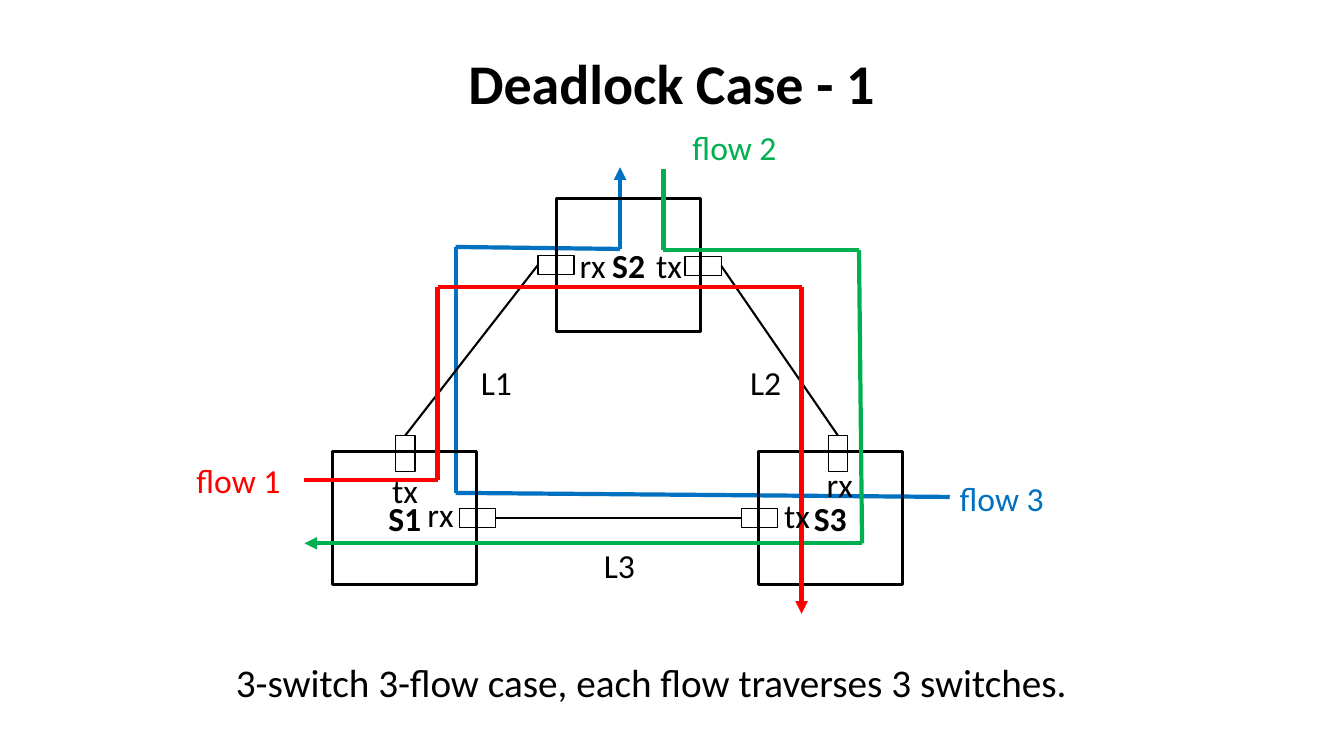
import itertools

import lxml.etree
import pptx
import pptx.dml.color
import pptx.enum.shapes
import pptx.enum.text
import pptx.oxml.ns
import pptx.util

Inches = pptx.util.Inches
Pt = pptx.util.Pt
ALIGN = pptx.enum.text.PP_ALIGN
ANCHOR = pptx.enum.text.MSO_ANCHOR
FIT = pptx.enum.text.MSO_AUTO_SIZE
qn = pptx.oxml.ns.qn

FONT = "Calibri"
COLORS = {"ink": "000000", "red": "FF0000", "green": "00B050", "blue": "0070C0"}

TITLE = ("Deadlock Case - 1", (0.35, 0.43, 12.62, 0.77))
NOTE = ("3-switch 3-flow case, each flow traverses 3 switches.", (2.24, 6.48, 8.66, 0.57))

BOX = (1.43, 1.32)
SWITCHES = {"S2": (5.52, 1.97), "S1": (3.3, 4.48), "S3": (7.52, 4.48)}

# Port: centre x, centre y, lies flat
LONG, SHORT = 0.36, 0.19
PORTS = {
    "S2 rx": (5.515, 2.63, True),
    "S2 tx": (6.975, 2.64, True),
    "S1 tx": (4.02, 4.5, False),
    "S1 rx": (4.735, 5.14, True),
    "S3 rx": (8.31, 4.5, False),
    "S3 tx": (7.535, 5.14, True),
}

# Link: port and side at each end
TOP, LEFT, RIGHT = 0, 1, 3
LINKS = [
    ("S2 rx", LEFT, "S1 tx", TOP),
    ("S2 tx", RIGHT, "S3 rx", TOP),
    ("S1 rx", RIGHT, "S3 tx", LEFT),
]

# Corner points in the order of travel
FLOWS = {
    "blue": [(9.42, 4.93), (4.52, 4.89), (4.52, 2.45), (6.15, 2.47), (6.15, 1.66)],
    "green": [(6.58, 1.68), (6.58, 2.48), (8.52, 2.48), (8.55, 5.39), (3.02, 5.39)],
    "red": [(3.02, 4.76), (4.34, 4.76), (4.34, 2.85), (7.95, 2.85), (7.95, 6.09)],
}

WIDTHS = {"flow": 1.04, "rx": 0.46, "tx": 0.46, "L": 0.51}
LABELS = [
    ("flow 1", 1.85, 4.51, "red"),
    ("flow 2", 6.77, 1.21, "green"),
    ("flow 3", 9.42, 4.69, "blue"),
    ("rx", 5.65, 2.38, "ink"),
    ("tx", 6.41, 2.38, "ink"),
    ("tx", 3.79, 4.61, "ink"),
    ("rx", 4.14, 4.85, "ink"),
    ("rx", 8.1, 4.55, "ink"),
    ("tx", 7.68, 4.86, "ink"),
    ("L1", 4.67, 3.54, "ink"),
    ("L2", 7.34, 3.54, "ink"),
    ("L3", 5.89, 5.36, "ink"),
]


def shade(name):
    return pptx.dml.color.RGBColor.from_string(COLORS[name])


def write(shape, text, size, color="ink", bold=False, align=ALIGN.LEFT, **frame):
    """Put one formatted line of text in a shape."""
    for key, value in frame.items():
        setattr(shape.text_frame, key, value)
    para = shape.text_frame.paragraphs[0]
    para.alignment = align
    run = para.add_run()
    run.text = text
    for key, value in {"name": FONT, "size": Pt(size), "bold": bold}.items():
        setattr(run.font, key, value)
    run.font.color.rgb = shade(color)


def add_rect(slide, x, y, w, h, width):
    rect = slide.shapes.add_shape(
        pptx.enum.shapes.MSO_SHAPE.RECTANGLE, *map(Inches, (x, y, w, h)))
    rect.shadow.inherit = False
    rect.fill.background()
    rect.line.color.rgb = shade("ink")
    rect.line.width = Pt(width)
    return rect


def add_line(slide, start, end, color, width):
    line = slide.shapes.add_connector(
        pptx.enum.shapes.MSO_CONNECTOR.STRAIGHT, *map(Inches, start + end))
    line.line.color.rgb = shade(color)
    line.line.width = Pt(width)
    lxml.etree.SubElement(line.element.spPr, qn("a:effectLst"))
    return line


def add_flow(slide, color):
    for start, end in itertools.pairwise(FLOWS[color]):
        line = add_line(slide, start, end, color, 3)
    lxml.etree.SubElement(line.line._get_or_add_ln(), qn("a:tailEnd"), type="triangle")


def add_port(slide, x, y, flat):
    w, h = (LONG, SHORT) if flat else (SHORT, LONG)
    return add_rect(slide, x - w / 2, y - h / 2, w, h, 1)


def add_text(slide, text, spot, size, color="ink", wrap=False):
    box = slide.shapes.add_textbox(*map(Inches, spot))
    write(box, text, size, color, word_wrap=wrap, auto_size=FIT.SHAPE_TO_FIT_TEXT)


def main():
    deck = pptx.Presentation()
    deck.slide_width, deck.slide_height = Inches(13.33), Inches(7.5)
    slide = deck.slides.add_slide(deck.slide_layouts[5])

    title = slide.shapes.title
    for key, value in zip(("left", "top", "width", "height"), TITLE[1]):
        setattr(title, key, Inches(value))
    write(title, TITLE[0], 40, bold=True, align=ALIGN.CENTER,
          vertical_anchor=ANCHOR.MIDDLE)
    add_text(slide, *NOTE, 28, wrap=True)

    add_flow(slide, "blue")
    for name, spot in SWITCHES.items():
        write(add_rect(slide, *spot, *BOX, 2.25), name, 24, bold=True,
              align=ALIGN.CENTER, vertical_anchor=ANCHOR.MIDDLE)
    ports = {name: add_port(slide, *place) for name, place in PORTS.items()}
    for first, side, last, face in LINKS:
        link = add_line(slide, PORTS[first][:2], PORTS[last][:2], "ink", 1.5)
        link.begin_connect(ports[first], side)
        link.end_connect(ports[last], face)
    add_flow(slide, "green")
    add_flow(slide, "red")

    for text, x, y, color in LABELS:
        add_text(slide, text, (x, y, WIDTHS[text.rstrip(" 123")], 0.5), 24, color)
    deck.save("out.pptx")


if __name__ == "__main__":
    main()
